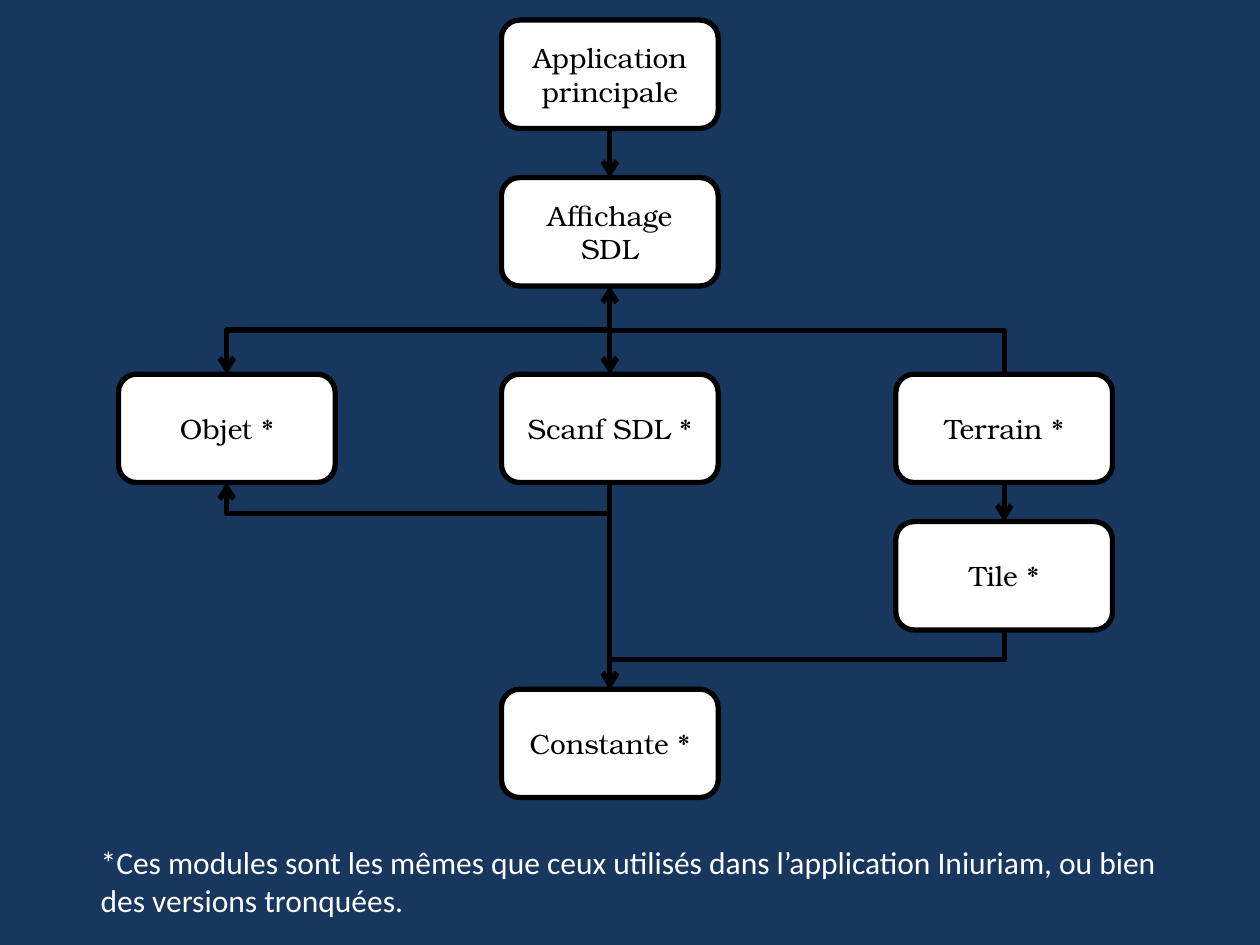
from lxml import etree
from pptx import Presentation, util as u
from pptx.dml.color import RGBColor
from pptx.enum import shapes, text
from pptx.oxml.ns import qn

COLORS = {"backdrop": "17375E", "box": "FFFFFF", "ink": "000000", "note": "FFFFFF"}
SLIDE_W, SLIDE_H = 10, 7.5
BOX_W, BOX_H = 1.72, 0.86
COLUMNS = [0.94, 3.98, 7.11]
ROWS = [0.16, 1.41, 2.97, 4.14, 5.47]
TOP, BOTTOM = 0, 2

MODULES = {
    "Objet *": (0, 2),
    "Affichage SDL": (1, 1),
    "Scanf SDL *": (1, 2),
    "Terrain *": (2, 2),
    "Application principale": (1, 0),
    "Tile *": (2, 3),
    "Constante *": (1, 4),
}
STRAIGHT_LINKS = [
    ("Application principale", "Affichage SDL"),
    ("Affichage SDL", "Scanf SDL *"),
    ("Terrain *", "Tile *"),
    ("Scanf SDL *", "Constante *"),
]
BENT_LINKS = [
    ("Affichage SDL", BOTTOM, "Objet *", TOP, 0.5),
    ("Terrain *", TOP, "Affichage SDL", BOTTOM, 0.5),
    ("Constante *", TOP, "Objet *", BOTTOM, 0.85),
    ("Tile *", BOTTOM, "Constante *", TOP, 0.5),
]
NOTE = ("*Ces modules sont les mêmes que ceux utilisés dans l’application "
        "Iniuriam, ou bien des versions tronquées.")


def rgb(name):
    return RGBColor.from_string(COLORS[name])


def style_text(paragraph, font_name, size, color):
    paragraph.font.name = font_name
    paragraph.font.size = u.Pt(size)
    paragraph.font.color.rgb = rgb(color)


def add_box(slide, label, column, row):
    box = slide.shapes.add_shape(
        shapes.MSO_SHAPE.ROUNDED_RECTANGLE,
        *map(u.Inches, (COLUMNS[column], ROWS[row], BOX_W, BOX_H)))
    box.shadow.inherit = False
    box.fill.solid()
    box.fill.fore_color.rgb = rgb("box")
    box.line.color.rgb = rgb("ink")
    box.line.width = u.Pt(3)
    frame = box.text_frame
    frame.word_wrap = True
    frame.vertical_anchor = text.MSO_ANCHOR.MIDDLE
    frame.text = label
    frame.paragraphs[0].alignment = text.PP_ALIGN.CENTER
    style_text(frame.paragraphs[0], "TeX Gyre Bonum", 16, "ink")
    return box


def side_point(label, side):
    column, row = MODULES[label]
    return COLUMNS[column] + BOX_W / 2, ROWS[row] + (BOX_H if side == BOTTOM else 0)


def add_arrow(slide, kind, begin, end):
    arrow = slide.shapes.add_connector(kind, *map(u.Inches, (*begin, *end)))
    arrow.line.color.rgb = rgb("ink")
    arrow.line.width = u.Pt(3)
    etree.SubElement(arrow.line._get_or_add_ln(), qn("a:tailEnd"), type="arrow")
    etree.SubElement(arrow._element.spPr, qn("a:effectLst"))
    return arrow


def add_bent_arrow(slide, source, source_side, target, target_side, bend):
    x1, y1 = side_point(source, source_side)
    x2, y2 = side_point(target, target_side)
    middle_x, middle_y = (x1 + x2) / 2, (y1 + y2) / 2
    half_run, half_rise = (y2 - y1) / 2, abs(x2 - x1) / 2
    arrow = add_arrow(slide, shapes.MSO_CONNECTOR.ELBOW,
                      (middle_x - half_run, middle_y - half_rise),
                      (middle_x + half_run, middle_y + half_rise))
    properties = arrow._element.spPr
    properties.find(qn("a:xfrm")).set("rot", str(90 * 60000))
    guides = properties.find(qn("a:prstGeom")).find(qn("a:avLst"))
    etree.SubElement(guides, qn("a:gd"), name="adj1", fmla=f"val {round(bend * 100000)}")


def main():
    deck = Presentation()
    deck.slide_width, deck.slide_height = u.Inches(SLIDE_W), u.Inches(SLIDE_H)
    slide = deck.slides.add_slide(deck.slide_layouts[6])

    backdrop = slide.shapes.add_shape(
        shapes.MSO_SHAPE.RECTANGLE, 0, 0, deck.slide_width, deck.slide_height)
    backdrop.shadow.inherit = False
    backdrop.fill.solid()
    backdrop.fill.fore_color.rgb = rgb("backdrop")
    backdrop.line.fill.background()

    boxes = {label: add_box(slide, label, *cell) for label, cell in MODULES.items()}

    for source, target in STRAIGHT_LINKS:
        arrow = add_arrow(slide, shapes.MSO_CONNECTOR.STRAIGHT,
                          side_point(source, BOTTOM), side_point(target, TOP))
        arrow.begin_connect(boxes[source], BOTTOM)
        arrow.end_connect(boxes[target], TOP)
    for link in BENT_LINKS:
        add_bent_arrow(slide, *link)

    note = slide.shapes.add_textbox(*map(u.Inches, (0.7, 6.64, 8.75, 0.7))).text_frame
    note.word_wrap = True
    note.text = NOTE
    style_text(note.paragraphs[0], "Calibri", 18, "note")

    deck.save("out.pptx")


if __name__ == "__main__":
    main()
